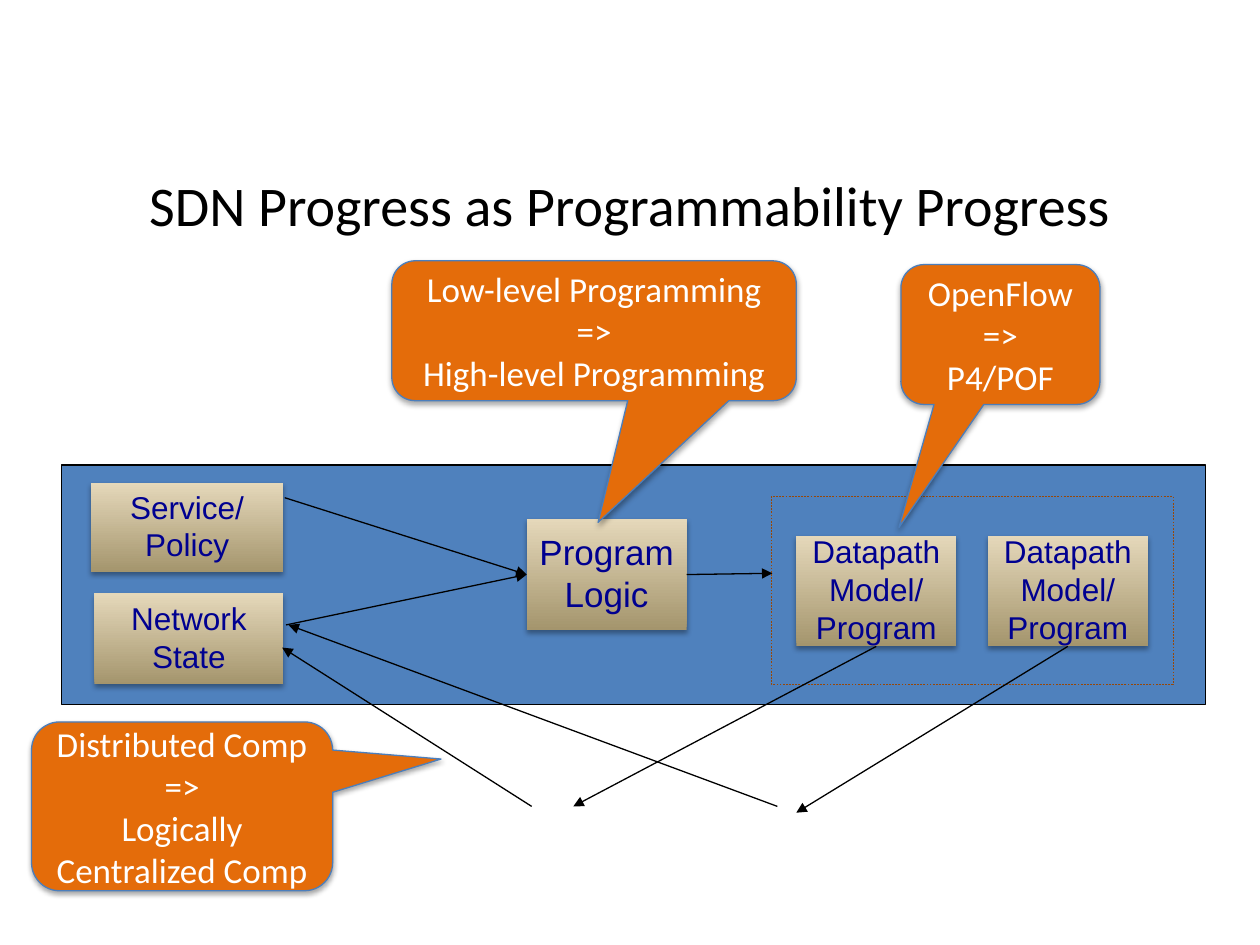
"""Build the slide on SDN progress as programmability progress."""
from lxml import etree
from pptx import Presentation
from pptx import util as u
from pptx.dml.color import RGBColor
from pptx.enum import dml, shapes, text
from pptx.oxml.ns import qn

WIDTH, HEIGHT = u.Inches(10), u.Inches(7.5)
UNIT = WIDTH / 100

BLACK = RGBColor(0x00, 0x00, 0x00)
WHITE = RGBColor(0xFF, 0xFF, 0xFF)
NAVY = RGBColor(0x00, 0x00, 0x90)
BLUE = RGBColor(0x4F, 0x81, 0xBD)
EDGE = RGBColor(0x4B, 0x7E, 0xBC)
ORANGE = RGBColor(0xE4, 0x6C, 0x0A)
BROWN = RGBColor(0x98, 0x48, 0x07)
SAND = (RGBColor(0xA4, 0x95, 0x6D), RGBColor(0xE5, 0xD8, 0xBA))

TOP, LEFT, BOTTOM, RIGHT = range(4)

# All positions and sizes below are hundredths of the slide's width.
TITLE = "SDN Progress as Programmability Progress"
TITLE_AREA = (5, 12.9, 90, 6.6)
PANEL = (4.9, 36.9, 90.8, 19)
DATAPATH_FRAME = (61.2, 39.4, 31.9, 14.9)
BLOCK = (12.7, 8.8)
DATAPATH = "Datapath\nModel/\nProgram"
BOXES = {
    "policy": ("Service/\nPolicy", (7.2, 38.3, 15.3, 7.1), 18),
    "state": ("Network\nState", (7.5, 47.1, 15, 7.2), 18),
    "logic": ("Program\nLogic", (41.8, 41.2, *BLOCK), 20),
    "datapath 1": (DATAPATH, (63.2, 42.5, *BLOCK), 18),
    "datapath 2": (DATAPATH, (78.4, 42.5, *BLOCK), 18),
}
# An end is either a point or a box with the side it joins.
ARROWS = [
    ((42.2, 64), (22.4, 51.4)),
    ((61.7, 64), (22.9, 49.6)),
    (("datapath 1", BOTTOM), (45.5, 64)),
    (("datapath 2", BOTTOM), (63.2, 64.5)),
    ((22.6, 39.5), ("logic", LEFT)),
    (("logic", RIGHT), (61.3, 45.5)),
    ((22.7, 49.6), ("logic", LEFT)),
]
CALLOUTS = [
    ("OpenFlow\n=>\nP4/POF", (71.5, 21, 15.8, 11.1), (-0.51, 1.38)),
    ("Distributed Comp\n=>\nLogically Centralized Comp",
     (2.5, 57.3, 23.9, 13.4), (0.86, -0.28)),
    ("Low-level Programming =>\nHigh-level Programming",
     (31.1, 20.7, 32.1, 11.1), (0.01, 1.37)),
]


def scaled(lengths):
    return [round(length * UNIT) for length in lengths]


def write(shape, words, size, font, color):
    frame = shape.text_frame
    frame.text = words
    frame.word_wrap = True
    frame.vertical_anchor = text.MSO_ANCHOR.MIDDLE
    for para in frame.paragraphs:
        para.alignment = text.PP_ALIGN.CENTER
        for span in para.runs:
            span.font.size = u.Pt(size)
            span.font.name = font
            span.font.color.rgb = color


def add_shape(page, kind, area, fill=None, line=None, weight=0.75):
    shape = page.shapes.add_shape(kind, *scaled(area))
    shape.shadow.inherit = False
    if fill is None:
        shape.fill.background()
    else:
        shape.fill.solid()
        shape.fill.fore_color.rgb = fill
    if line is None:
        shape.line.fill.background()
    else:
        shape.line.color.rgb = line
        shape.line.width = u.Pt(weight)
    return shape


def add_shadow(shape):
    effects = shape._element.spPr.find(qn("a:effectLst"))
    shadow = etree.SubElement(
        effects, qn("a:outerShdw"), blurRad=str(u.Pt(3.1)), dist=str(u.Pt(1.8)),
        dir="5400000", rotWithShape="0")
    color = etree.SubElement(shadow, qn("a:srgbClr"), val=str(BLACK))
    etree.SubElement(color, qn("a:alpha"), val="35000")


def add_box(page, words, area, size):
    box = add_shape(page, shapes.MSO_SHAPE.RECTANGLE, area)
    box.fill.gradient()
    box.fill.gradient_angle = 90
    for stop, color in zip(box.fill.gradient_stops, SAND):
        stop.color.rgb = color
    add_shadow(box)
    box.text_frame.margin_top = u.Inches(0.02)
    write(box, words, size, "Arial", NAVY)
    return box


def add_arrow(page, boxes, start, end):
    arrow = page.shapes.add_connector(shapes.MSO_CONNECTOR.STRAIGHT, 0, 0, 0, 0)
    if start[0] in boxes:
        arrow.begin_connect(boxes[start[0]], start[1])
    else:
        arrow.begin_x, arrow.begin_y = scaled(start)
    if end[0] in boxes:
        arrow.end_connect(boxes[end[0]], end[1])
    else:
        arrow.end_x, arrow.end_y = scaled(end)
    arrow.line.color.rgb = BLACK
    arrow.line.width = u.Pt(0.75)
    etree.SubElement(arrow.line._get_or_add_ln(), qn("a:tailEnd"), type="triangle")
    etree.SubElement(arrow._element.spPr, qn("a:effectLst"))


def add_callout(page, words, area, tip):
    callout = add_shape(
        page, shapes.MSO_SHAPE.ROUNDED_RECTANGULAR_CALLOUT, area, ORANGE, EDGE)
    callout.adjustments[0], callout.adjustments[1] = tip
    add_shadow(callout)
    write(callout, words, 20, "Calibri", WHITE)


def main():
    deck = Presentation()
    deck.slide_width, deck.slide_height = WIDTH, HEIGHT
    page = deck.slides.add_slide(deck.slide_layouts[5])

    title = page.shapes.title
    title.left, title.top, title.width, title.height = scaled(TITLE_AREA)
    write(title, TITLE, 32, "Calibri", BLACK)

    add_shape(page, shapes.MSO_SHAPE.RECTANGLE, PANEL, BLUE, BLACK)
    frame = add_shape(
        page, shapes.MSO_SHAPE.RECTANGLE, DATAPATH_FRAME, line=BROWN, weight=0.25)
    frame.line.dash_style = dml.MSO_LINE.DASH

    boxes = {name: add_box(page, *box) for name, box in BOXES.items()}
    for start, end in ARROWS:
        add_arrow(page, boxes, start, end)
    for callout in CALLOUTS:
        add_callout(page, *callout)
    deck.save("out.pptx")


if __name__ == "__main__":
    main()
